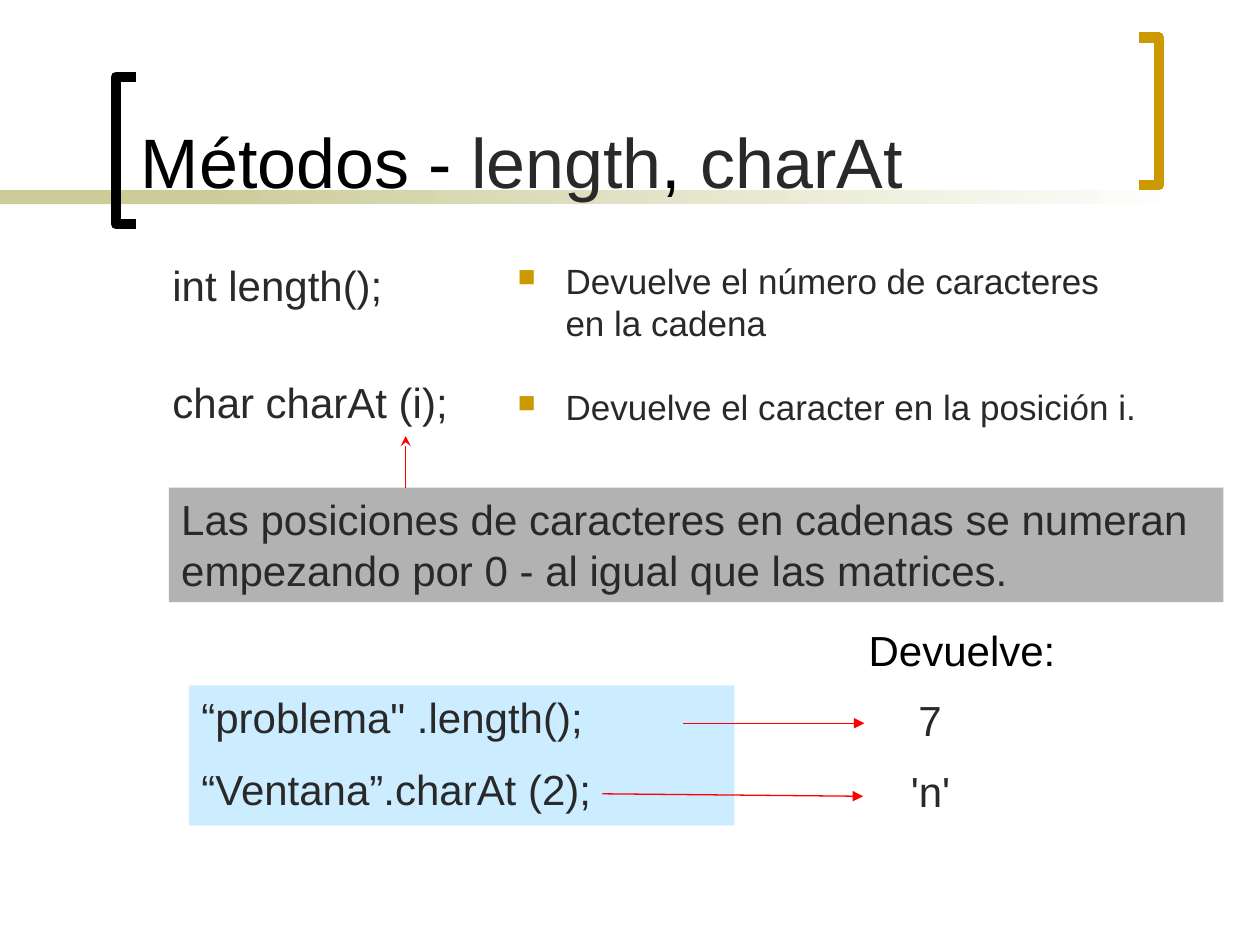
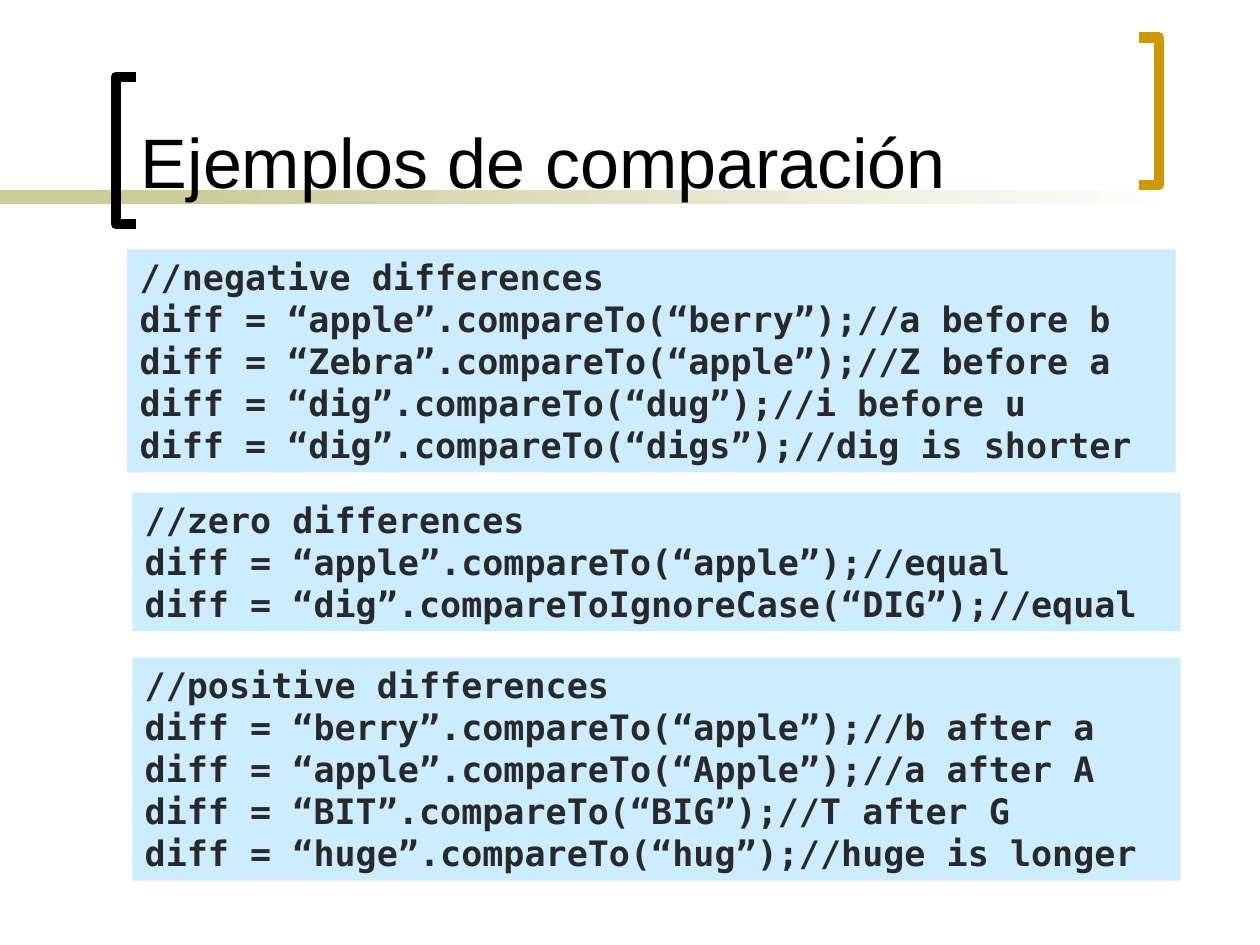
"""Build two slides on string methods and string comparison."""
from dataclasses import dataclass

from pptx import Presentation
from pptx.dml.color import RGBColor
from pptx.enum.shapes import MSO_CONNECTOR, MSO_SHAPE
from pptx.enum.text import MSO_ANCHOR, PP_ALIGN
from pptx.oxml.xmlchemy import OxmlElement
from pptx.util import Inches, Pt

RECTANGLE = MSO_SHAPE.RECTANGLE
STRAIGHT = MSO_CONNECTOR.STRAIGHT
TOP, BOTTOM = MSO_ANCHOR.TOP, MSO_ANCHOR.BOTTOM
LEFT, CENTER = PP_ALIGN.LEFT, PP_ALIGN.CENTER

BLACK = RGBColor(0x00, 0x00, 0x00)
WHITE = RGBColor(0xFF, 0xFF, 0xFF)
INK = RGBColor(0x29, 0x29, 0x29)
OLIVE = RGBColor(0xCC, 0xCC, 0x99)
GOLD = RGBColor(0xCC, 0x99, 0x00)
SKY = RGBColor(0xCC, 0xEC, 0xFF)
GREY = RGBColor(0xB2, 0xB2, 0xB2)
RED = RGBColor(0xFF, 0x00, 0x00)

BODY_FONT = "Arial"
CODE_FONT = "DejaVu Sans Mono"
HANGING = 0.38


@dataclass(frozen=True)
class Area:
    left: float
    top: float
    width: float
    height: float

    def lengths(self):
        return [Inches(side) for side in (self.left, self.top, self.width, self.height)]


@dataclass(frozen=True)
class Bracket:
    open_x: float
    spine_x: float
    top: float
    color: RGBColor


@dataclass(frozen=True)
class Arrow:
    start: tuple[float, float]
    end: tuple[float, float]
    head: str = "triangle"


@dataclass(frozen=True)
class CodeBlock:
    area: Area
    lines: list[str]


BRACKETS = [Bracket(1.08, 0.92, 0.61, BLACK), Bracket(9.04, 9.2, 0.3, GOLD)]
BRACKET_HEIGHT = 1.17

ARROWS = [
    Arrow((4.78, 6.3), (6.85, 6.32)),
    Arrow((5.42, 5.74), (6.86, 5.74)),
    Arrow((3.22, 3.87), (3.22, 3.46), "stealth"),
]

CODE_BLOCKS = [
    CodeBlock(Area(1.01, 1.98, 8.32, 1.77), [
        "//negative differences",
        "diff = “apple”.compareTo(“berry”);//a before b",
        "diff = “Zebra”.compareTo(“apple”);//Z before a",
        "diff = “dig”.compareTo(“dug”);//i before u",
        "diff = “dig”.compareTo(“digs”);//dig is shorter",
    ]),
    CodeBlock(Area(1.05, 3.91, 8.32, 1.1), [
        "//zero differences",
        "diff = “apple”.compareTo(“apple”);//equal",
        "diff = “dig”.compareToIgnoreCase(“DIG”);//equal",
    ]),
    CodeBlock(Area(1.05, 5.22, 8.32, 1.77), [
        "//positive differences",
        "diff = “berry”.compareTo(“apple”);//b after a",
        "diff = “apple”.compareTo(“Apple”);//a after A",
        "diff = “BIT”.compareTo(“BIG”);//T after G",
        "diff = “huge”.compareTo(“hug”);//huge is longer",
    ]),
]


def add_band(page, area: Area, fade: bool = False):
    band = page.shapes.add_shape(RECTANGLE, *area.lengths())
    band.shadow.inherit = False
    band.line.fill.background()
    if fade:
        band.fill.gradient()
        band.fill.gradient_angle = 0
        for stop, color, position in zip(band.fill.gradient_stops, (OLIVE, WHITE), (0, 1)):
            stop.color.rgb = color
            stop.position = position
    else:
        band.fill.solid()
        band.fill.fore_color.rgb = OLIVE


def add_bracket(page, bracket: Bracket):
    bottom = bracket.top + BRACKET_HEIGHT
    corners = [(bracket.spine_x, bracket.top), (bracket.spine_x, bottom), (bracket.open_x, bottom)]
    builder = page.shapes.build_freeform(Inches(bracket.open_x), Inches(bracket.top))
    builder.add_line_segments([(Inches(x), Inches(y)) for x, y in corners], close=False)
    outline = builder.convert_to_shape()
    outline.shadow.inherit = False
    outline.fill.background()
    outline.line.color.rgb = bracket.color
    outline.line.width = Pt(6)


def set_indent(para, left: float, first: float = 0):
    properties = para._p.get_or_add_pPr()
    properties.set("marL", str(Inches(left)))
    properties.set("indent", str(Inches(first)))


def set_bullet(para):
    set_indent(para, HANGING, -HANGING)
    properties = para._p.get_or_add_pPr()
    color = OxmlElement("a:buClr")
    value = OxmlElement("a:srgbClr")
    value.set("val", str(GOLD))
    color.append(value)
    size = OxmlElement("a:buSzPct")
    size.set("val", "70000")
    character = OxmlElement("a:buChar")
    character.set("char", "■")
    properties.extend([color, size, character])


def add_text(page, area: Area, paragraphs, *, size: int = 24, font: str = BODY_FONT,
             color: RGBColor = INK, bold: bool = False, gap: int = 0, align=LEFT,
             anchor=TOP, bullets: bool = False, fill: RGBColor | None = None):
    """Add text; a paragraph is a string or a list of (text, colour) spans."""
    if fill is None:
        box = page.shapes.add_textbox(*area.lengths())
    else:
        box = page.shapes.add_shape(RECTANGLE, *area.lengths())
        box.shadow.inherit = False
        box.fill.solid()
        box.fill.fore_color.rgb = fill
        box.line.fill.background()
    frame = box.text_frame
    frame.word_wrap = True
    frame.vertical_anchor = anchor
    for index, content in enumerate(paragraphs):
        para = frame.add_paragraph() if index else frame.paragraphs[0]
        para.alignment = align
        para.space_before = Pt(gap if index else 0)
        if bullets:
            set_bullet(para)
        for text, shade in [(content, color)] if isinstance(content, str) else content:
            span = para.add_run()
            span.text = text
            span.font.name = font
            span.font.size = Pt(size)
            span.font.bold = bold
            span.font.color.rgb = shade
    return box


def add_arrow(page, arrow: Arrow):
    ends = [Inches(value) for value in (*arrow.start, *arrow.end)]
    connector = page.shapes.add_connector(STRAIGHT, *ends)
    connector.line.color.rgb = RED
    connector.line.width = Pt(0.75)
    head = OxmlElement("a:tailEnd")
    head.set("type", arrow.head)
    connector.line._get_or_add_ln().append(head)
    connector._element.spPr.append(OxmlElement("a:effectLst"))


def add_page(deck, title):
    page = deck.slides.add_slide(deck.slide_layouts[6])
    add_band(page, Area(0, 1.51, 2.33, 0.11))
    add_band(page, Area(1.58, 1.51, 7.92, 0.11), fade=True)
    for bracket in BRACKETS:
        add_bracket(page, bracket)
    add_text(page, Area(1.02, 0.11, 7.83, 1.55), [title], size=40, color=BLACK, anchor=BOTTOM)
    return page


def build_methods(deck):
    page = add_page(deck, [("Métodos - ", BLACK), ("length", INK), (", ", BLACK), ("charAt", INK)])
    add_text(page, Area(1.27, 2.01, 2.74, 1.47), ["int length();", "char charAt (i);"], gap=38)
    add_text(page, Area(4.01, 2.01, 5.15, 1.53),
             ["Devuelve el número de caracteres en la cadena",
              "Devuelve el caracter en la posición i."], size=20, gap=24, bullets=True)
    results = add_text(page, Area(7.13, 5.46, 1.22, 1.11), ["7", "'n'"], gap=12)
    set_indent(results.text_frame.paragraphs[0], 0.06)
    add_text(page, Area(1.5, 5.44, 4.33, 1.11),
             ["“problema\" .length();", "“Ventana”.charAt (2);"], gap=12, fill=SKY)
    add_text(page, Area(6.66, 4.91, 1.95, 0.5), ["Devuelve:"], color=BLACK, align=CENTER)
    add_text(page, Area(1.34, 3.87, 8.37, 0.91),
             ["Las posiciones de caracteres en cadenas se numeran empezando por 0 - "
              "al igual que las matrices."], fill=GREY)
    for arrow in ARROWS:
        add_arrow(page, arrow)


def build_comparisons(deck):
    page = add_page(deck, "Ejemplos de comparación")
    for block in CODE_BLOCKS:
        add_text(page, block.area, block.lines, size=20, font=CODE_FONT, bold=True, fill=SKY)


def main():
    deck = Presentation()
    deck.slide_width, deck.slide_height = Inches(10), Inches(7.5)
    build_methods(deck)
    build_comparisons(deck)
    deck.save("out.pptx")


main()
